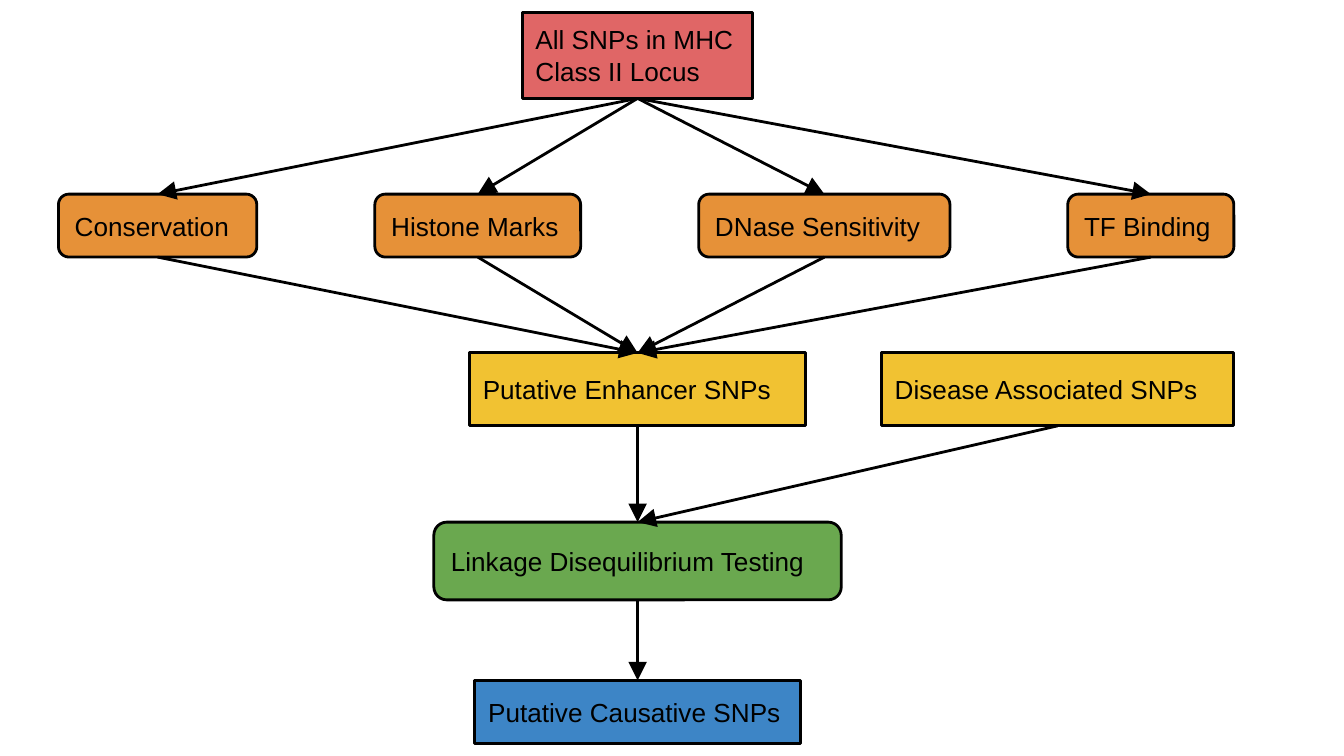
from dataclasses import dataclass

from lxml import etree
from pptx import Presentation
from pptx.dml.color import RGBColor
from pptx.enum import shapes, text
from pptx.oxml import ns
from pptx.util import Cm, Pt

RECTANGLE = shapes.MSO_SHAPE.RECTANGLE
ROUNDED = shapes.MSO_SHAPE.ROUNDED_RECTANGLE
TOP, BOTTOM = 0, 2
AXIS = 12.05


@dataclass(frozen=True)
class Theme:
    ink: RGBColor = RGBColor.from_string("000000")
    red: RGBColor = RGBColor.from_string("E06666")
    orange: RGBColor = RGBColor.from_string("E69138")
    yellow: RGBColor = RGBColor.from_string("F1C232")
    green: RGBColor = RGBColor.from_string("6AA84F")
    blue: RGBColor = RGBColor.from_string("3D85C6")
    font: str = "Arial"
    size: Pt = Pt(14)
    line: Pt = Pt(1.5)
    inset: Cm = Cm(0.25)


THEME = Theme()


def add_box(slide, label, kind, color, center, top, width, height):
    """Add a labelled box centred horizontally on a position in cm."""
    shape = slide.shapes.add_shape(
        kind, Cm(center - width / 2), Cm(top), Cm(width), Cm(height))
    shape.shadow.inherit = False
    shape.fill.solid()
    shape.fill.fore_color.rgb = color
    shape.line.color.rgb = THEME.ink
    shape.line.width = THEME.line

    frame = shape.text_frame
    frame.word_wrap = True
    frame.vertical_anchor = text.MSO_ANCHOR.MIDDLE
    frame.margin_left = frame.margin_right = THEME.inset
    frame.margin_top = frame.margin_bottom = THEME.inset
    paragraph = frame.paragraphs[0]
    paragraph.alignment = text.PP_ALIGN.LEFT
    run = paragraph.add_run()
    run.text = label
    run.font.name = THEME.font
    run.font.size = THEME.size
    run.font.color.rgb = THEME.ink
    return shape


def add_arrow(slide, source, target):
    """Join the bottom of one box to the top of another."""
    arrow = slide.shapes.add_connector(
        shapes.MSO_CONNECTOR.STRAIGHT,
        source.left + source.width // 2, source.top + source.height,
        target.left + target.width // 2, target.top)
    arrow.begin_connect(source, BOTTOM)
    arrow.end_connect(target, TOP)
    arrow.line.color.rgb = THEME.ink
    arrow.line.width = THEME.line
    properties = arrow._element.spPr
    etree.SubElement(properties.find(ns.qn("a:ln")), ns.qn("a:tailEnd"),
                     type="triangle", w="lg", len="lg")
    etree.SubElement(properties, ns.qn("a:effectLst"))


def add_flowchart(slide):
    all_snps = add_box(slide, "All SNPs in MHC Class II Locus",
                       RECTANGLE, THEME.red, AXIS, 0.23, 4.36, 1.63)
    enhancer = add_box(slide, "Putative Enhancer SNPs",
                       RECTANGLE, THEME.yellow, AXIS, 6.67, 6.35, 1.38)
    disease = add_box(slide, "Disease Associated SNPs",
                      RECTANGLE, THEME.yellow, 19.99, 6.67, 6.66, 1.38)
    evidence = [
        add_box(slide, label, ROUNDED, THEME.orange, center, 3.67, width, 1.19)
        for label, center, width in (
            ("Conservation", 2.98, 3.75),
            ("Histone Marks", 9.03, 3.89),
            ("DNase Sensitivity", 15.58, 4.75),
            ("TF Binding", 21.75, 3.14),
        )
    ]
    linkage = add_box(slide, "Linkage Disequilibrium Testing",
                      ROUNDED, THEME.green, AXIS, 9.87, 7.7, 1.47)
    causative = add_box(slide, "Putative Causative SNPs",
                        RECTANGLE, THEME.blue, AXIS, 12.86, 6.15, 1.19)

    for box in evidence:
        add_arrow(slide, all_snps, box)
        add_arrow(slide, box, enhancer)
    for box in (enhancer, disease):
        add_arrow(slide, box, linkage)
    add_arrow(slide, linkage, causative)


def main():
    presentation = Presentation()
    presentation.slide_width = Cm(25.4)
    presentation.slide_height = Cm(14.29)
    blank_layout = presentation.slide_layouts[6]
    add_flowchart(presentation.slides.add_slide(blank_layout))
    presentation.save("out.pptx")


if __name__ == "__main__":
    main()
